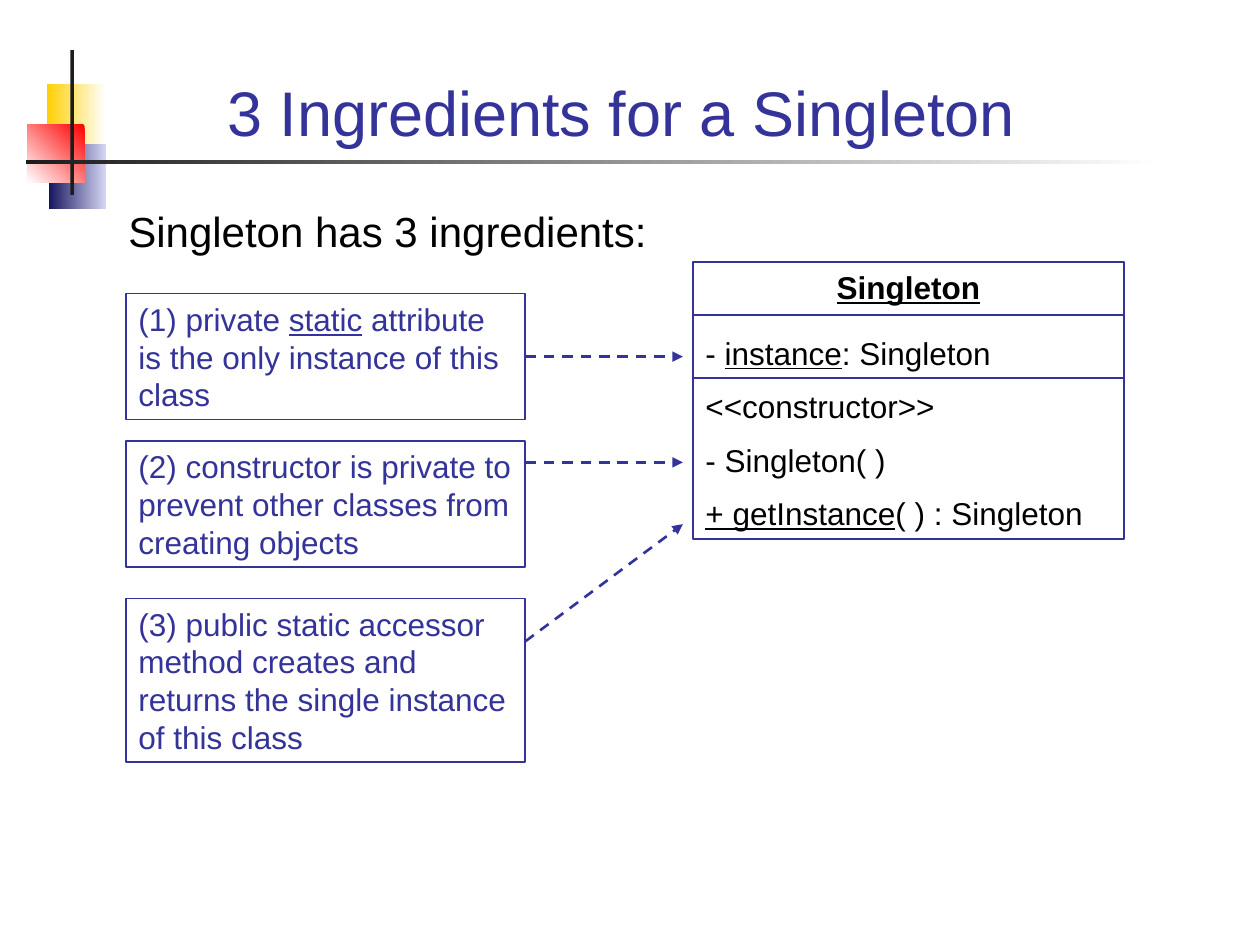
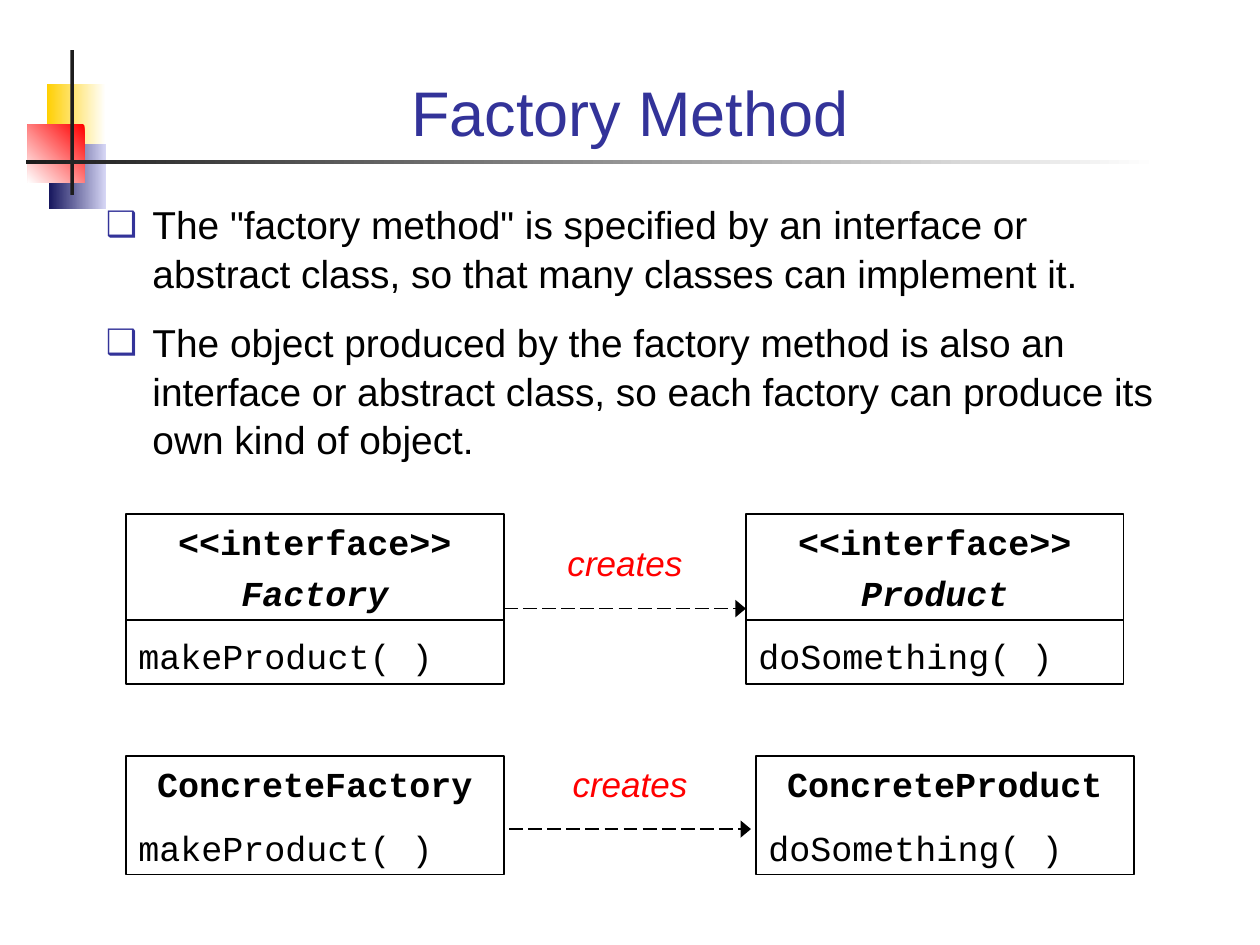
from lxml import etree
from pptx import Presentation
from pptx.dml.color import RGBColor
from pptx.enum.dml import MSO_LINE
from pptx.enum.shapes import MSO_CONNECTOR, MSO_SHAPE
from pptx.enum.text import MSO_ANCHOR, MSO_AUTO_SIZE, PP_ALIGN
from pptx.oxml.ns import qn
from pptx.util import Inches, Pt

# Theme shared by the slides
NAVY = RGBColor(0x33, 0x33, 0x99)
BLACK = RGBColor(0, 0, 0)
WHITE = RGBColor(0xFF, 0xFF, 0xFF)
RED = RGBColor(0xFF, 0, 0)
CHARCOAL = RGBColor(0x1C, 0x1C, 0x1C)
GOLD = RGBColor(0xFF, 0xCF, 0x01)
LAVENDER = RGBColor(0xD6, 0xD6, 0xF5)
MIDNIGHT = RGBColor(0x17, 0x17, 0x5E)
SANS, MONO = "Arial", "Courier New"

LEFT, CENTER = PP_ALIGN.LEFT, PP_ALIGN.CENTER
TOP, BOTTOM = MSO_ANCHOR.TOP, MSO_ANCHOR.BOTTOM
RECTANGLE = MSO_SHAPE.RECTANGLE
STRAIGHT = MSO_CONNECTOR.STRAIGHT
DASH, LONG_DASH = MSO_LINE.DASH, MSO_LINE.LONG_DASH
NO_AUTOFIT = MSO_AUTO_SIZE.NONE
TITLE_AND_CONTENT, TITLE_ONLY = 1, 5
RIGHT_SIDE = 3

# Left, top, width, height, start colour, end colour, angle
ORNAMENTS = [
    (0.37, 0.67, 0.47, 0.52, WHITE, GOLD, 180),
    (0.39, 1.14, 0.45, 0.52, LAVENDER, MIDNIGHT, 180),
    (0.22, 0.99, 0.45, 0.46, RED, WHITE, 225),
    (0.56, 0.4, 0.03, 1.15, CHARCOAL, CHARCOAL, 180),
    (0.21, 1.27, 8.99, 0.03, WHITE, CHARCOAL, 180),
]


def place(shape, left, top, width, height):
    shape.left, shape.top = Inches(left), Inches(top)
    shape.width, shape.height = Inches(width), Inches(height)


def prepare_frame(frame, anchor=TOP):
    frame.word_wrap = True
    frame.auto_size = NO_AUTOFIT
    frame.vertical_anchor = anchor


def write(paragraph, text, size, color, name=SANS, align=LEFT, before=0,
          after=0, bold=False, italic=False):
    """Fill a paragraph; parts between underscores are underlined."""
    for index, part in enumerate(text.split("_")):
        if part:
            run = paragraph.add_run()
            run.text = part
            if index % 2:
                run.font.underline = True
    paragraph.alignment = align
    paragraph.space_before, paragraph.space_after = Pt(before), Pt(after)
    font = paragraph.font
    font.name, font.size, font.color.rgb = name, Pt(size), color
    font.bold, font.italic = bold, italic


def next_paragraph(frame, index):
    return frame.add_paragraph() if index else frame.paragraphs[0]


def add_rectangle(slide, left, top, width, height):
    rectangle = slide.shapes.add_shape(
        RECTANGLE, Inches(left), Inches(top), Inches(width), Inches(height))
    rectangle.shadow.inherit = False
    return rectangle


def add_ornaments(slide):
    for left, top, width, height, start, end, angle in ORNAMENTS:
        ornament = add_rectangle(slide, left, top, width, height)
        ornament.line.fill.background()
        ornament.fill.gradient()
        ornament.fill.gradient_angle = angle
        for stop, color in zip(ornament.fill.gradient_stops, (start, end)):
            stop.color.rgb = color


def add_titled_slide(prs, layout, heading):
    slide = prs.slides.add_slide(prs.slide_layouts[layout])
    add_ornaments(slide)
    title = slide.shapes.title
    place(title, 0.67, 0.28, 8.66, 0.95)
    prepare_frame(title.text_frame, BOTTOM)
    write(title.text_frame.paragraphs[0], heading, 36, NAVY, align=CENTER)
    return slide


def add_box(slide, left, top, width, height, line_color, weight, lines, **common):
    """Outlined box; each line is its text and the style that is its own."""
    box = add_rectangle(slide, left, top, width, height)
    box.fill.background()
    box.line.color.rgb, box.line.width = line_color, Pt(weight)
    prepare_frame(box.text_frame)
    for index, (text, style) in enumerate(lines):
        write(next_paragraph(box.text_frame, index), text, **common, **style)
    return box


def add_label(slide, left, top, width, height, text, size, color, **style):
    label = slide.shapes.add_textbox(
        Inches(left), Inches(top), Inches(width), Inches(height))
    prepare_frame(label.text_frame)
    write(label.text_frame.paragraphs[0], text, size, color, **style)


def add_line(slide, x1, y1, x2, y2, color, weight):
    line = slide.shapes.add_connector(
        STRAIGHT, Inches(x1), Inches(y1), Inches(x2), Inches(y2))
    line.line.color.rgb, line.line.width = color, Pt(weight)
    return line


def finish_line(line):
    etree.SubElement(line._element.spPr, qn("a:effectLst"))


def add_divider(slide, left, right, y, color, weight):
    finish_line(add_line(slide, left, y, right, y, color, weight))


def add_arrow(slide, x1, y1, x2, y2, color, weight, dash, head_width):
    arrow = add_line(slide, x1, y1, x2, y2, color, weight)
    arrow.line.dash_style = dash
    etree.SubElement(arrow._element.spPr.find(qn("a:ln")), qn("a:tailEnd"),
                     type="triangle", w=head_width, len="med")
    finish_line(arrow)
    return arrow


def add_bullet(paragraph):
    props = paragraph._p.get_or_add_pPr()
    props.set("marL", str(Inches(0.37)))
    props.set("indent", str(-Inches(0.37)))
    color = etree.SubElement(props, qn("a:buClr"))
    etree.SubElement(color, qn("a:srgbClr"), val=str(NAVY))
    etree.SubElement(props, qn("a:buSzPct"), val="90000")
    etree.SubElement(props, qn("a:buChar"), char="❑")


def fill_bullets(body, points):
    prepare_frame(body.text_frame)
    for index, point in enumerate(points):
        paragraph = next_paragraph(body.text_frame, index)
        add_bullet(paragraph)
        write(paragraph, point, 22.2, BLACK, before=12 if index else 0)
        paragraph.line_spacing = 1.04


def build_singleton(prs):
    slide = add_titled_slide(prs, TITLE_ONLY, "3 Ingredients for a Singleton ")
    add_label(slide, 0.92, 1.58, 8.42, 0.5,
              "Singleton has 3 ingredients:", 24, BLACK)

    # Class diagram
    add_box(slide, 5.5, 2.08, 3.42, 2.2, NAVY, 1, [
        ("_Singleton_", {"align": CENTER, "bold": True, "after": 11.2}),
        ("- _instance_: Singleton", {"before": 4.5}),
        ("<<constructor>>", {"before": 9}),
        ("- Singleton( )", {"before": 9}),
        ("_+ getInstance_( ) : Singleton", {"before": 9}),
    ], size=18, color=BLACK)
    for y in (2.5, 3):
        add_divider(slide, 5.5, 8.92, y, NAVY, 1)

    # Ingredients: top, height, text, arrow start and end heights
    ingredients = [
        (2.33, 1, "(1) private _static_ attribute is the only instance of "
         "this class", 2.83, 2.83),
        (3.5, 1, "(2) constructor is private to prevent other classes from "
         "creating objects", 3.67, 3.67),
        (4.75, 1.3, "(3) public static accessor method creates and returns "
         "the single instance of this class", 5.09, 4.16),
    ]
    for top, height, text, start, end in ingredients:
        ingredient = add_box(slide, 1, top, 3.17, height, NAVY, 1,
                             [(text, {})], size=18, color=NAVY)
        arrow = add_arrow(slide, 4.17, start, 5.42, end, NAVY, 1.5, DASH, "med")
        if start == top + height / 2:
            arrow.begin_connect(ingredient, RIGHT_SIDE)


def build_factory_method(prs):
    slide = add_titled_slide(prs, TITLE_AND_CONTENT, "Factory Method")
    body = slide.placeholders[1]
    place(body, 0.74, 1.53, 8.66, 2.22)
    fill_bullets(body, [
        'The "factory method" is specified by an interface or abstract class, '
        "so that many classes can implement it.",
        "The object produced by the factory method is also an interface or "
        "abstract class, so each factory can produce its own kind of object.",
    ])

    heading = {"align": CENTER, "bold": True}
    method_style = {"before": 12.5}

    # Interfaces
    for left, interface, method in ((1, "Factory", "makeProduct( )"),
                                    (5.92, "Product", "doSomething( )")):
        add_box(slide, left, 4.08, 3, 1.35, BLACK, 0.75, [
            ("<<interface>>", heading),
            (interface, {**heading, "italic": True, "before": 5}),
            (method, method_style),
        ], size=20, color=BLACK, name=MONO)
        add_divider(slide, left, left + 3, 4.92, BLACK, 0.75)

    # Concrete classes
    for left, concrete, method in ((1, "ConcreteFactory", "makeProduct( )"),
                                   (6, "ConcreteProduct", "doSomething( )")):
        add_box(slide, left, 6, 3, 0.94, BLACK, 0.75,
                [(concrete, heading), (method, method_style)],
                size=20, color=BLACK, name=MONO)

    # Creation arrows
    for start, y, label_left, label_top in ((4, 4.83, 4.25, 4.25),
                                            (4.04, 6.58, 4.29, 6)):
        add_arrow(slide, start, y, start + 1.92, y, BLACK, 1, LONG_DASH, "lg")
        add_label(slide, label_left, label_top, 1.42, 0.44, "creates", 20, RED,
                  align=CENTER, italic=True)


def main():
    prs = Presentation()
    prs.slide_width, prs.slide_height = Inches(10), Inches(7.5)
    build_singleton(prs)
    build_factory_method(prs)
    prs.save("out.pptx")


if __name__ == "__main__":
    main()
